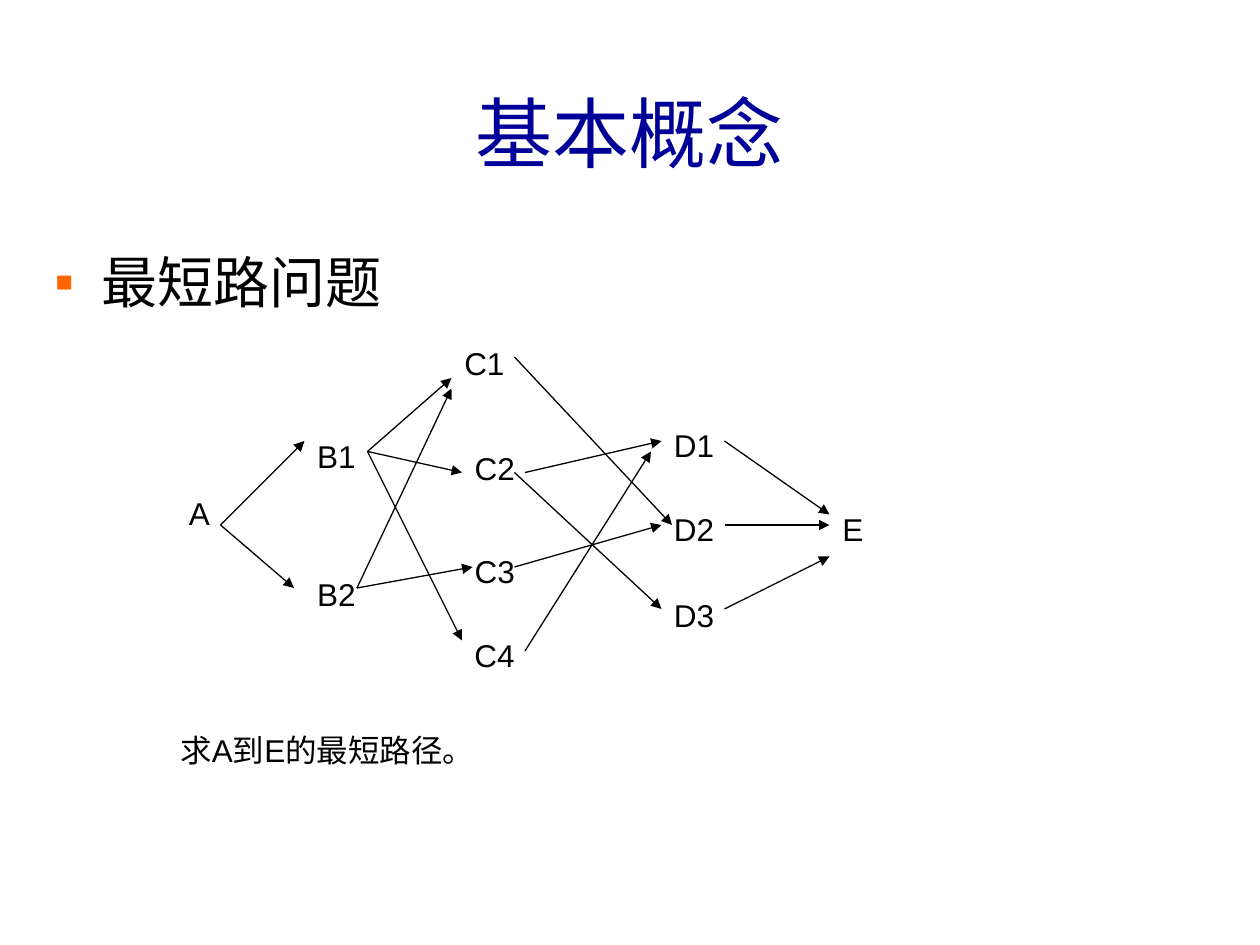
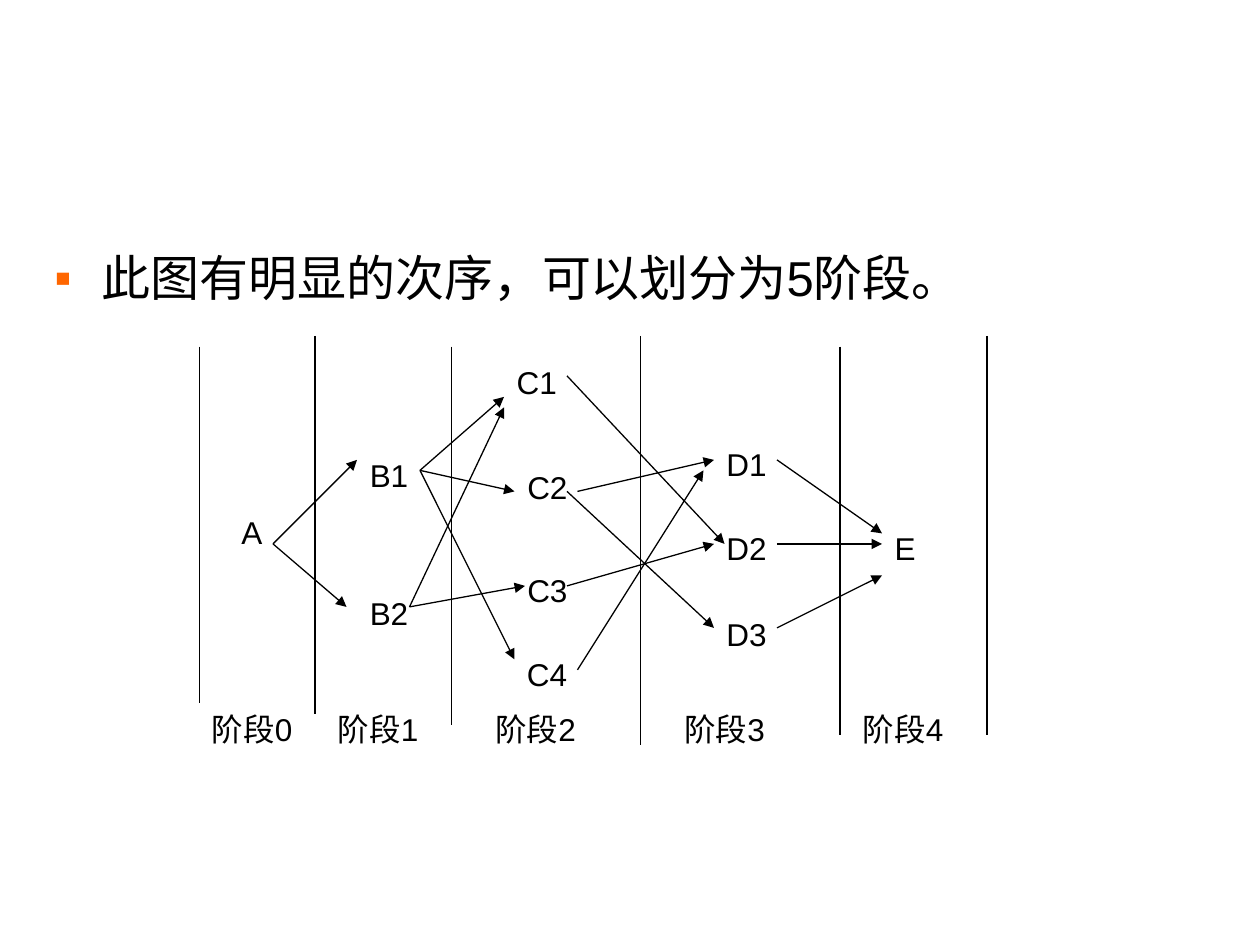
from dataclasses import dataclass

from lxml.etree import SubElement
from pptx import Presentation
from pptx.dml.color import RGBColor
from pptx.enum.shapes import MSO_CONNECTOR as Conn
from pptx.enum.text import MSO_ANCHOR as Anchor, MSO_AUTO_SIZE as AutoSize, PP_ALIGN as Align
from pptx.oxml.ns import qn
from pptx.slide import Slide
from pptx.text.text import _Paragraph as Paragraph
from pptx.util import Pt

FONT = "Arial"
NAVY = RGBColor(0x00, 0x00, 0x99)
ORANGE = RGBColor(0xFF, 0x66, 0x00)
BLACK = RGBColor(0x00, 0x00, 0x00)

TITLE_ONLY, BLANK = 5, 6
MARGIN, CONTENT_W = 24, 672
LABEL_SIZE, LABEL_H = 18, 28.8
BULLET_INDENT = 27


@dataclass(frozen=True)
class Node:
    name: str
    left: float
    top: float
    width: float = 37.4


@dataclass(frozen=True)
class Line:
    x1: float
    y1: float
    x2: float
    y2: float
    arrow: bool = True


@dataclass(frozen=True)
class Stage:
    left: float
    label_left: float
    bottom: float


# The route graph, by stage from A to E
NODES = [
    Node("A", 100.8, 278.6, 26.5),
    Node("B1", 174.2, 246.2), Node("B2", 174.2, 325.2),
    Node("C1", 258.2, 193), Node("C2", 264.2, 253.2),
    Node("C3", 264.2, 311.8), Node("C4", 264, 360),
    Node("D1", 378, 240), Node("D2", 378, 288), Node("D3", 378, 337),
    Node("E", 474.2, 288, 26.5),
]
ROUTES = [
    # A to B
    Line(126, 300, 174, 252), Line(126, 300, 168, 336),
    # B to C
    Line(210, 258, 258, 216), Line(210, 258, 264, 270), Line(210, 258, 264, 366),
    Line(204, 336, 270, 324), Line(204, 336, 258, 222),
    # C to D
    Line(294, 204, 384, 300), Line(300, 270, 378, 252), Line(294, 270, 378, 348),
    Line(294, 324, 378, 300), Line(300, 372, 372, 258),
    # D to E
    Line(414, 252, 474, 294), Line(414, 300, 474, 300), Line(414, 348, 474, 318),
]

# Each stage starts at a dividing line; the last line closes stage 4
STAGES = [
    Stage(114, 114, 402), Stage(180, 186, 408), Stage(258, 276, 414),
    Stage(366, 384, 426), Stage(480, 486, 420),
]
LAST_DIVIDER = (564, 420)
DIVIDER_TOPS = (198, 192)
STAGE_LABEL_TOP, STAGE_LABEL_W = 402, 72


def add_run(p: Paragraph, text: str, size: float, color: RGBColor = BLACK) -> None:
    r = p.add_run()
    r.text = text
    r.font.name = FONT
    r.font.size = Pt(size)
    r.font.color.rgb = color


def add_title(s: Slide, text: str) -> None:
    sp = s.shapes.title
    sp.left, sp.top, sp.width, sp.height = Pt(MARGIN), Pt(30), Pt(CONTENT_W), Pt(90)
    tf = sp.text_frame
    tf.vertical_anchor = Anchor.MIDDLE
    p = tf.paragraphs[0]
    p.alignment = Align.CENTER
    add_run(p, text, 44, NAVY)


def add_bullet(s: Slide, text: str, size: float) -> None:
    sp = s.shapes.add_textbox(Pt(MARGIN), Pt(138), Pt(CONTENT_W), Pt(336))
    tf = sp.text_frame
    tf.word_wrap = True
    p = tf.paragraphs[0]
    pPr = p._p.get_or_add_pPr()
    pPr.set("marL", str(Pt(BULLET_INDENT)))
    pPr.set("indent", str(-Pt(BULLET_INDENT)))
    SubElement(SubElement(pPr, qn("a:buClr")), qn("a:srgbClr"), val=str(ORANGE))
    SubElement(pPr, qn("a:buFont"), typeface=FONT)
    SubElement(pPr, qn("a:buChar"), char="▪")
    add_run(p, text, size)


def add_label(s: Slide, text: str, left: float, top: float, width: float,
              wrap: bool = True) -> None:
    sp = s.shapes.add_textbox(Pt(left), Pt(top), Pt(width), Pt(LABEL_H))
    tf = sp.text_frame
    tf.word_wrap = wrap
    tf.auto_size = AutoSize.SHAPE_TO_FIT_TEXT
    add_run(tf.paragraphs[0], text, LABEL_SIZE)


def add_line(s: Slide, line: Line, dx: float = 0, dy: float = 0) -> None:
    sp = s.shapes.add_connector(Conn.STRAIGHT, Pt(line.x1 + dx), Pt(line.y1 + dy),
                                Pt(line.x2 + dx), Pt(line.y2 + dy))
    sp.line.color.rgb = BLACK
    sp.line.width = Pt(0.75)
    if line.arrow:
        SubElement(sp.line._get_or_add_ln(), qn("a:tailEnd"), type="triangle")
    SubElement(sp._element.spPr, qn("a:effectLst"))


def add_graph(s: Slide, dx: float = 0, dy: float = 0) -> None:
    for node in NODES:
        add_label(s, node.name, node.left + dx, node.top + dy, node.width, wrap=False)
    for route in ROUTES:
        add_line(s, route, dx, dy)


def add_stages(s: Slide) -> None:
    dividers = [(stage.left, stage.bottom) for stage in STAGES] + [LAST_DIVIDER]
    for i, (x, bottom) in enumerate(dividers):
        add_line(s, Line(x, DIVIDER_TOPS[i % 2], x, bottom, arrow=False))
    for i, stage in enumerate(STAGES):
        add_label(s, f"阶段{i}", stage.label_left, STAGE_LABEL_TOP, STAGE_LABEL_W)


def main() -> None:
    prs = Presentation()
    prs.slide_width, prs.slide_height = Pt(720), Pt(540)

    # Slide 1: the shortest path problem
    s = prs.slides.add_slide(prs.slide_layouts[TITLE_ONLY])
    add_title(s, "基本概念")
    add_bullet(s, "最短路问题", 32)
    add_graph(s)
    add_label(s, "求A到E的最短路径。", 96, 414, 264)

    # Slide 2: the same graph split into stages
    s = prs.slides.add_slide(prs.slide_layouts[BLANK])
    add_bullet(s, "此图有明显的次序，可以划分为5阶段。", 28)
    add_graph(s, dx=30, dy=10.8)
    add_stages(s)

    prs.save("out.pptx")


if __name__ == "__main__":
    main()
